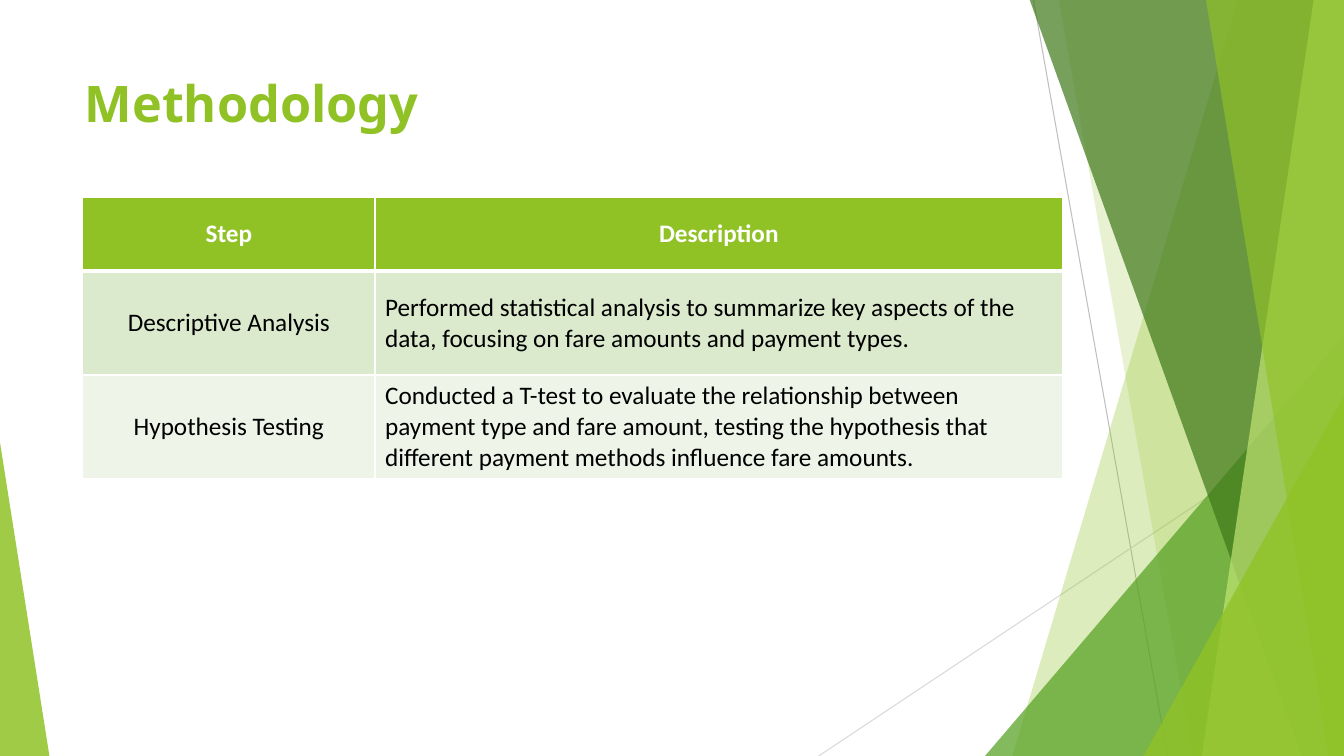
from lxml import etree
from pptx import Presentation
from pptx.dml.color import RGBColor
from pptx.enum.shapes import MSO_CONNECTOR, MSO_SHAPE
from pptx.enum.text import MSO_ANCHOR, PP_ALIGN
from pptx.oxml.ns import qn
from pptx.util import Inches, Pt

LINE = MSO_CONNECTOR.STRAIGHT
TRIANGLE = MSO_SHAPE.ISOSCELES_TRIANGLE
TOP, MIDDLE = MSO_ANCHOR.TOP, MSO_ANCHOR.MIDDLE
LEFT, CENTER = PP_ALIGN.LEFT, PP_ALIGN.CENTER
WIDE, HIGH = 13.33, 7.5
EDGE = -0.01
COLORS = {
    "lime": "90C226", "green": "54A021", "dark": "3F7819", "pale": "C0E474",
    "gray": "BFBFBF", "light": "D9D9D9", "white": "FFFFFF", "black": "000000",
    "band": "DBE9CD", "mist": "EEF4E8",
}


def style(font, **values):
    for name, value in values.items():
        if name == "color":
            font.color.rgb = RGBColor.from_string(COLORS[value])
        else:
            setattr(font, name, value)


def paint(shape, color, alpha):
    """Give the shape a see-through fill with no line or shadow."""
    shape.shadow.inherit = False
    shape.line.fill.background()
    shape.fill.solid()
    shape.fill.fore_color.rgb = RGBColor.from_string(COLORS[color])
    tint = shape.fill._xPr.find(qn("a:solidFill"))[0]
    etree.SubElement(tint, qn("a:alpha"), val=str(alpha * 1000))


deck = Presentation()
deck.slide_width, deck.slide_height = Inches(WIDE), Inches(HIGH)
slide = deck.slides.add_slide(deck.slide_layouts[5])
shapes = slide.shapes

# Thin rays
rays = [(10.25, 0, 11.58, HIGH, "gray"), (WIDE, 4.03, 8.12, HIGH, "light")]
for *ends, color in rays:
    ray = shapes.add_connector(LINE, *map(Inches, ends))
    ray.line.width = Pt(0.75)
    ray.line.color.rgb = RGBColor.from_string(COLORS[color])
    etree.SubElement(ray._element.spPr, qn("a:effectLst"))

# Facets, back to front: a panel has its upper and lower left corners,
# a triangle has its left, top, width and apex position
facets = [
    ("panel", (12.28, 10.04), "lime", 30),
    ("panel", (10.5, 11.83), "lime", 20),
    ("triangle", (9.77, 3.33, 3.56, 1), "green", 72),
    ("panel", (10.21, 12.91), "dark", 70),
    ("panel", (13.03, 11.92), "pale", 70),
    ("panel", (11.96, 13.18), "lime", 65),
    ("triangle", (11.34, 3.93, 1.99, 1), "lime", 80),
    ("triangle", (0, 4.39, 0.49, 0), "lime", 85),
]
for kind, place, color, alpha in facets:
    if kind == "panel":
        upper, lower = place
        form = shapes.build_freeform(Inches(upper), Inches(EDGE))
        rest = [(WIDE, EDGE), (WIDE, HIGH), (lower, HIGH)]
        form.add_line_segments([(Inches(x), Inches(y)) for x, y in rest])
        facet = form.convert_to_shape()
    else:
        left, top, width, apex = place
        facet = shapes.add_shape(TRIANGLE, Inches(left), Inches(top),
                                 Inches(width), Inches(HIGH - top))
        facet.adjustments[0] = apex
    paint(facet, color, alpha)

# Title
title = shapes.title
title.left, title.top = Inches(0.74), Inches(0.67)
title.width, title.height = Inches(9.4), Inches(1.44)
title.text_frame.text = "Methodology"
title.text_frame.vertical_anchor = TOP
head = title.text_frame.paragraphs[0]
head.alignment = LEFT
style(head.runs[0].font, name="Noto Sans", size=Pt(36), bold=True, color="lime")

# Table of steps
steps = [
    ("Step", "Description"),
    ("Descriptive Analysis",
     "Performed statistical analysis to summarize key aspects of the data, "
     "focusing on fare amounts and payment types."),
    ("Hypothesis Testing",
     "Conducted a T-test to evaluate the relationship between payment type "
     "and fare amount, testing the hypothesis that different payment methods "
     "influence fare amounts."),
]
fills = ["lime", "band", "mist"]
table = shapes.add_table(3, 2, Inches(0.82), Inches(1.96),
                         Inches(9.72), Inches(2.79)).table
for col, width in zip(table.columns, (2.9, 6.82)):
    col.width = Inches(width)
for row, height in zip(table.rows, (0.73, 1.03, 1.03)):
    row.height = Inches(height)

for r, texts in enumerate(steps):
    for c, text in enumerate(texts):
        cell = table.cell(r, c)
        cell.text = text
        cell.vertical_anchor = MIDDLE
        cell.fill.solid()
        cell.fill.fore_color.rgb = RGBColor.from_string(COLORS[fills[r]])
        para = cell.text_frame.paragraphs[0]
        para.alignment = CENTER if r == 0 or c == 0 else LEFT
        style(para.runs[0].font, name="Calibri", size=Pt(18), bold=r == 0,
              color="white" if r == 0 else "black")
        weights = {"L": 1, "R": 1, "T": 3 if r == 1 else 1, "B": 3 if r == 0 else 1}
        props = cell._tc.get_or_add_tcPr()
        for spot, (side, weight) in enumerate(weights.items()):
            border = etree.Element(qn("a:ln" + side), w=str(Pt(weight)))
            solid = etree.SubElement(border, qn("a:solidFill"))
            etree.SubElement(solid, qn("a:srgbClr"), val=COLORS["white"])
            props.insert(spot, border)

deck.save("out.pptx")
